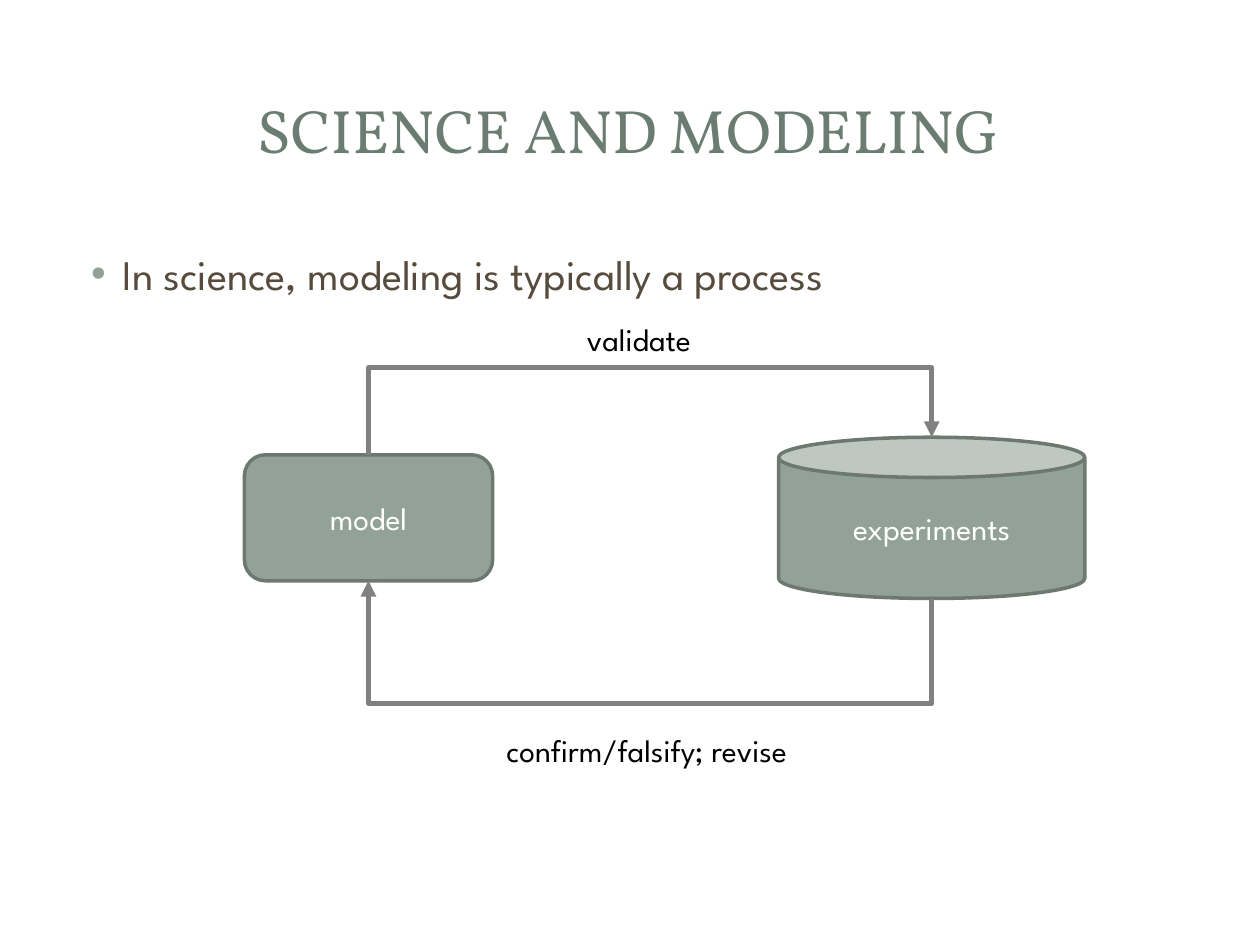
import pptx
import pptx.dml.color
import pptx.enum.shapes
import pptx.enum.text
import pptx.oxml
import pptx.oxml.ns
import pptx.util

WIDTH = pptx.util.Inches(10)
HEIGHT = pptx.util.Inches(7.5)
COLUMN_COUNT, ROW_COUNT = 100, 75
HEADING_FONT = "Vollkorn"
BODY_FONT = "League Spartan"
COLORS = {
    "title": "6B7D72",
    "body": "564B3C",
    "fill": "93A299",
    "outline": "6D7871",
    "arrow": "808080",
    "label": "000000",
    "node text": "FFFFFF",
}
SHAPES = pptx.enum.shapes.MSO_SHAPE
ALIGN = pptx.enum.text.PP_ALIGN
ANCHOR = pptx.enum.text.MSO_ANCHOR


def columns(count):
    return round(WIDTH * count / COLUMN_COUNT)


def rows(count):
    return round(HEIGHT * count / ROW_COUNT)


def grid_box(left, top, width, height):
    return columns(left), rows(top), columns(width), rows(height)


def color(name):
    return pptx.dml.color.RGBColor.from_string(COLORS[name])


def add_xml(parent, tag, **attributes):
    element = pptx.oxml.parse_xml(f"<a:{tag} {pptx.oxml.ns.nsdecls('a')}/>")
    for name, value in attributes.items():
        element.set(name, str(value))
    parent.append(element)
    return element


def write(shape, text, size, color_name, font=BODY_FONT, align=ALIGN.LEFT):
    paragraph = shape.text_frame.paragraphs[0]
    paragraph.text = text
    paragraph.alignment = align
    paragraph.font.name = font
    paragraph.font.size = pptx.util.Pt(size)
    paragraph.font.color.rgb = color(color_name)
    return paragraph


def set_title(slide, text):
    title = slide.shapes.title
    title.left, title.top, title.width, title.height = grid_box(4.7, 4.5, 90.3, 11.4)
    title.text_frame.vertical_anchor = ANCHOR.MIDDLE
    write(title, text, 35, "title", HEADING_FONT, ALIGN.CENTER)


def add_bullet(slide, text):
    box = slide.shapes.add_textbox(*grid_box(5, 19.2, 90, 6.9))
    box.text_frame.word_wrap = True
    paragraph = write(box, text, 24, "body")
    paragraph.space_before = pptx.util.Pt(4.8)
    properties = paragraph._p.get_or_add_pPr()
    properties.set("marL", str(columns(3.75)))
    properties.set("indent", str(-columns(2.5)))
    bullet_color = pptx.oxml.parse_xml(f"<a:buClr {pptx.oxml.ns.nsdecls('a')}/>")
    add_xml(bullet_color, "srgbClr", val=COLORS["fill"])
    # Bullet settings belong before the default run properties.
    defaults = properties.find(pptx.oxml.ns.qn("a:defRPr"))
    defaults.addprevious(bullet_color)
    add_xml(properties, "buFont", typeface="Arial")
    add_xml(properties, "buChar", char="•")
    properties.append(defaults)


def add_node(slide, kind, text, box):
    node = slide.shapes.add_shape(kind, *grid_box(*box))
    node.shadow.inherit = False
    node.fill.solid()
    node.fill.fore_color.rgb = color("fill")
    node.line.color.rgb = color("outline")
    node.line.width = pptx.util.Pt(2)
    node.text_frame.vertical_anchor = ANCHOR.MIDDLE
    write(node, text, 18, "node text", align=ALIGN.CENTER)
    return node


def add_loop_arrow(slide, start, end, turn):
    """Run from start up or down to the height turn, across, and back to end.

    The start lies below the end; the elbow is turned a quarter clockwise.
    """
    rise = start[1] - end[1]
    span = abs(end[0] - start[0])
    left = (start[0] + end[0] - rise) // 2
    top = (start[1] + end[1] - span) // 2
    arrow = slide.shapes.add_connector(
        pptx.enum.shapes.MSO_CONNECTOR.ELBOW, left, top, left + rise, top + span
    )
    arrow.line.color.rgb = color("arrow")
    arrow.line.width = pptx.util.Pt(3)
    properties = arrow._element.spPr
    transform = properties.find(pptx.oxml.ns.qn("a:xfrm"))
    transform.set("rot", str(90 * 60000))
    transform.set("flipH", "1")
    if start[0] < end[0]:
        transform.set("flipV", "1")
    geometry = properties.find(pptx.oxml.ns.qn("a:prstGeom"))
    adjustments = geometry.find(pptx.oxml.ns.qn("a:avLst"))
    share = round((start[1] - turn) / rise * 100000)
    add_xml(adjustments, "gd", name="adj1", fmla=f"val {share}")
    add_xml(arrow.line._get_or_add_ln(), "tailEnd", type="triangle")
    add_xml(properties, "effectLst")


def top_middle(shape):
    return shape.left + shape.width // 2, shape.top


def bottom_middle(shape):
    return shape.left + shape.width // 2, shape.top + shape.height


def add_label(slide, text, box):
    label = slide.shapes.add_textbox(*grid_box(*box))
    label.text_frame.word_wrap = False
    label.text_frame.auto_size = pptx.enum.text.MSO_AUTO_SIZE.SHAPE_TO_FIT_TEXT
    write(label, text, 18, "label")


def main():
    presentation = pptx.Presentation()
    presentation.slide_width, presentation.slide_height = WIDTH, HEIGHT
    slide = presentation.slides.add_slide(presentation.slide_layouts[5])
    set_title(slide, "SCIENCE AND MODELING")
    add_bullet(slide, "In science, modeling is typically a process")
    model = add_node(slide, SHAPES.ROUNDED_RECTANGLE, "model", (19.4, 36.1, 19.7, 10))
    experiments = add_node(slide, SHAPES.CAN, "experiments", (61.8, 34.7, 24.3, 12.8))
    add_loop_arrow(slide, top_middle(model), top_middle(experiments), rows(29.2))
    add_loop_arrow(slide, bottom_middle(experiments), bottom_middle(model), rows(55.8))
    add_label(slide, "validate", (45.6, 24.9, 12.1, 4))
    add_label(slide, "confirm/falsify; revise", (39.2, 57.5, 27.4, 4))
    presentation.save("out.pptx")


if __name__ == "__main__":
    main()
